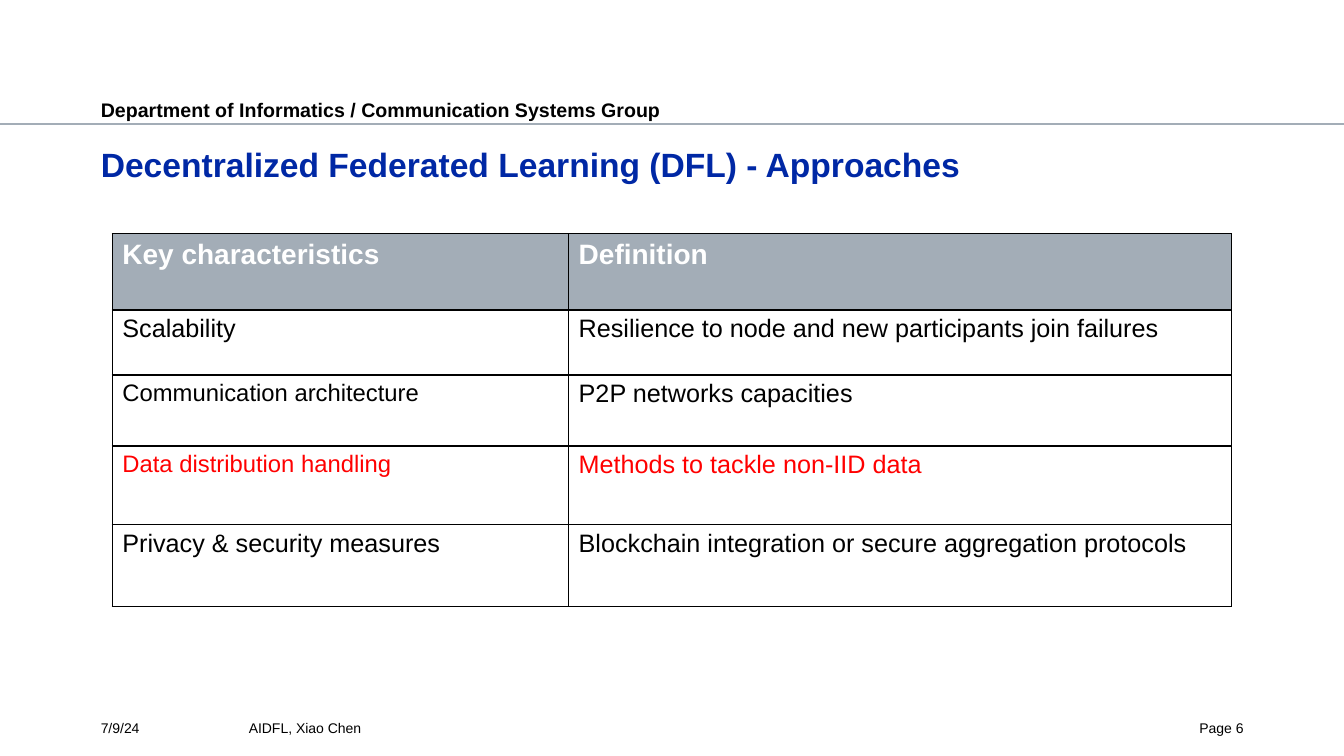
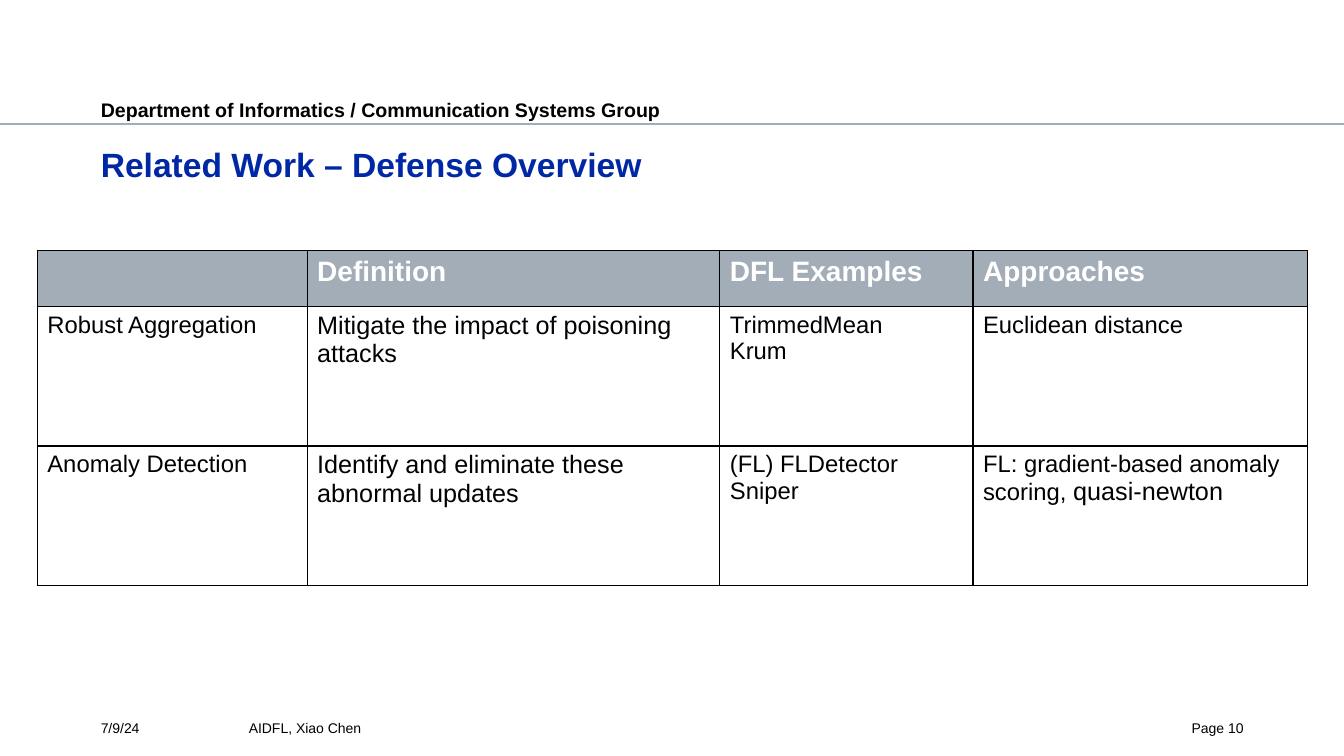
from typing import NamedTuple

from lxml.etree import SubElement
from pptx import Presentation
from pptx.dml.color import RGBColor
from pptx.enum.shapes import MSO_CONNECTOR as Connector
from pptx.enum.text import MSO_ANCHOR as Anchor, PP_ALIGN as Align
from pptx.oxml.ns import qn
from pptx.util import Cm, Pt

BLACK = RGBColor(0x00, 0x00, 0x00)
WHITE = RGBColor(0xFF, 0xFF, 0xFF)
RED = RGBColor(0xFF, 0x00, 0x00)
BLUE = RGBColor(0x00, 0x28, 0xA5)
GREY = RGBColor(0xA3, 0xAD, 0xB7)

FONT = "Arial"
PAGE_WIDTH, PAGE_HEIGHT = Cm(33.87), Cm(19.05)
MARGIN = Cm(2.54)
CONTENT_WIDTH = Cm(28.8)
RULE_TOP = Cm(3.12)
FOOTER_TOP, FOOTER_HEIGHT = Cm(18.14), Cm(0.61)
BORDER_WIDTH = Pt(1)
HEAD_SIZE, LARGE, SMALL = 20, 18, 17


class Span(NamedTuple):
    text: str
    size: int = LARGE


class SlideBuilder:
    """Holds the shared style and the slide being built."""

    def __init__(self):
        self.deck = Presentation()
        self.deck.slide_width = PAGE_WIDTH
        self.deck.slide_height = PAGE_HEIGHT
        self.page = None

    def add_page(self, title, number):
        self.page = self.deck.slides.add_slide(self.deck.slide_layouts[6])
        # Header band
        self.rule(RULE_TOP)
        self.text("Department of Informatics / Communication Systems Group",
                  MARGIN, Cm(2.36), Cm(20.37), Cm(0.64), 14, bold=True, inset=Cm(0.1))
        # Title
        self.text(title, MARGIN, Cm(3.53), CONTENT_WIDTH, Cm(2.21), 24,
                  color=BLUE, bold=True, inset=Cm(0.1))
        # Footer
        page_width = Cm(2.31)
        page_left = MARGIN + CONTENT_WIDTH - page_width
        for words, left, width, align in (
            ("7/9/24", MARGIN, Cm(3.45), Align.LEFT),
            ("AIDFL, Xiao Chen", Cm(6.27), Cm(19.46), Align.LEFT),
            (f"Page {number}", page_left, page_width, Align.RIGHT),
        ):
            self.text(words, left, FOOTER_TOP, width, FOOTER_HEIGHT, 10, align=align)

    def rule(self, top):
        line = self.page.shapes.add_connector(Connector.STRAIGHT, 0, top, PAGE_WIDTH, top)
        line.line.color.rgb = GREY
        line.line.width = Pt(1.25)
        SubElement(line.element.spPr, qn("a:effectLst"))

    def text(self, words, left, top, width, height, size, color=BLACK,
             bold=False, align=Align.LEFT, inset=0):
        box = self.page.shapes.add_textbox(left, top, width, height)
        frame = box.text_frame
        frame.word_wrap = True
        frame.vertical_anchor = Anchor.TOP
        frame.margin_left = frame.margin_right = frame.margin_bottom = 0
        frame.margin_top = inset
        frame.text = words
        para = frame.paragraphs[0]
        para.alignment = align
        self.style(para.runs[0], size, color, bold)

    def table(self, left, top, widths, heights, header, rows, highlight=None):
        """Draw a header row and body rows; highlight is the index of a red row."""
        grid = self.page.shapes.add_table(
            len(heights), len(widths), left, top, sum(widths), sum(heights)).table
        for column, width in zip(grid.columns, widths):
            column.width = width
        for row, height in zip(grid.rows, heights):
            row.height = height
        for column, words in enumerate(header):
            self.cell(grid.cell(0, column), [Span(words, HEAD_SIZE)], WHITE, True, GREY)
        for index, row in enumerate(rows):
            color = RED if index == highlight else BLACK
            for column, spans in enumerate(row):
                self.cell(grid.cell(index + 1, column), spans, color)

    def cell(self, cell, spans, color, bold=False, fill=None):
        if fill is None:
            cell.fill.background()
        else:
            cell.fill.solid()
            cell.fill.fore_color.rgb = fill
        self.borders(cell)
        first, *others = spans
        cell.text_frame.text = first.text
        for para in cell.text_frame.paragraphs:
            for run in para.runs:
                self.style(run, first.size, color, bold)
        for span in others:
            run = cell.text_frame.paragraphs[-1].add_run()
            run.text = span.text
            self.style(run, span.size, color, bold)

    @staticmethod
    def borders(cell):
        properties = cell._tc.get_or_add_tcPr()
        for position, side in enumerate(("lnL", "lnR", "lnT", "lnB")):
            line = SubElement(properties, qn(f"a:{side}"), w=str(BORDER_WIDTH))
            solid = SubElement(line, qn("a:solidFill"))
            SubElement(solid, qn("a:srgbClr"), val=str(BLACK))
            # Borders come before the fill in the schema
            properties.insert(position, line)

    @staticmethod
    def style(run, size, color, bold):
        run.font.name = FONT
        run.font.size = Pt(size)
        run.font.bold = bold
        run.font.color.rgb = color


def main():
    builder = SlideBuilder()

    # Approaches
    builder.add_page("Decentralized Federated Learning (DFL) - Approaches", 6)
    builder.table(
        Cm(2.83), Cm(5.89),
        widths=[Cm(11.5), Cm(16.7)],
        heights=[Cm(size) for size in (1.92, 1.64, 1.79, 1.97, 2.07)],
        header=["Key characteristics", "Definition"],
        rows=[
            [[Span("Scalability")],
             [Span("Resilience to node and new participants join failures")]],
            [[Span("Communication architecture", SMALL)],
             [Span("P2P networks capacities")]],
            [[Span("Data distribution handling", SMALL)],
             [Span("Methods to tackle non-IID data")]],
            [[Span("Privacy & security measures")],
             [Span("Blockchain integration or secure aggregation protocols")]],
        ],
        highlight=2,
    )

    # Defense overview
    builder.add_page("Related Work – Defense Overview", 10)
    builder.table(
        Cm(0.94), Cm(6.32),
        widths=[Cm(size) for size in (6.8, 10.4, 6.38, 8.43)],
        heights=[Cm(1.4), Cm(3.52), Cm(3.52)],
        header=["", "Definition", "DFL Examples", "Approaches"],
        rows=[
            [[Span("Robust Aggregation", SMALL)],
             [Span("Mitigate the impact of poisoning attacks")],
             [Span("TrimmedMean\nKrum", SMALL)],
             [Span("Euclidean distance", SMALL)]],
            [[Span("Anomaly Detection", SMALL)],
             [Span("Identify and eliminate these abnormal updates")],
             [Span("(FL) FLDetector\nSniper", SMALL)],
             [Span("FL: gradient-based anomaly scoring, ", SMALL), Span("quasi-newton")]],
        ],
    )

    builder.deck.save("out.pptx")


if __name__ == "__main__":
    main()
